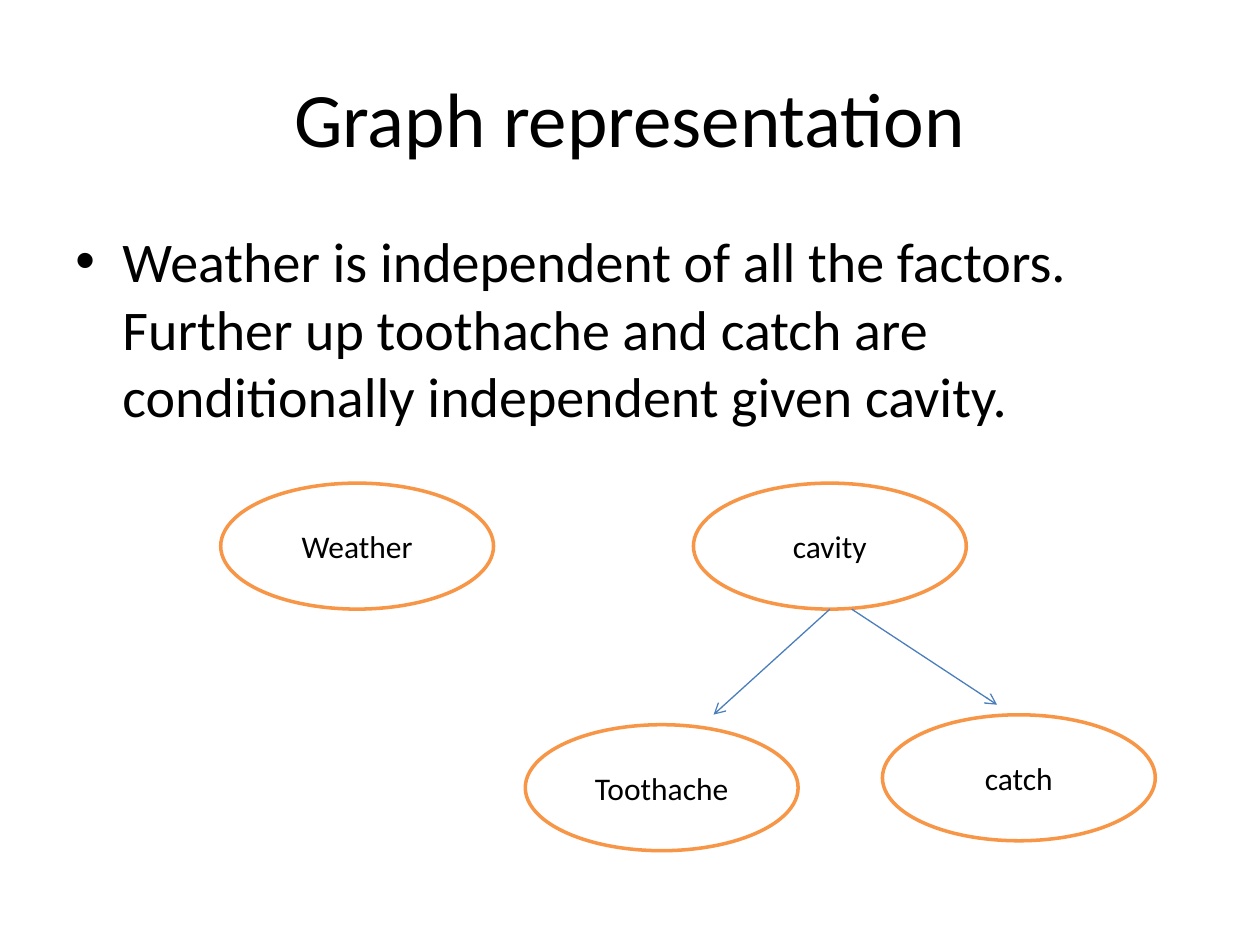
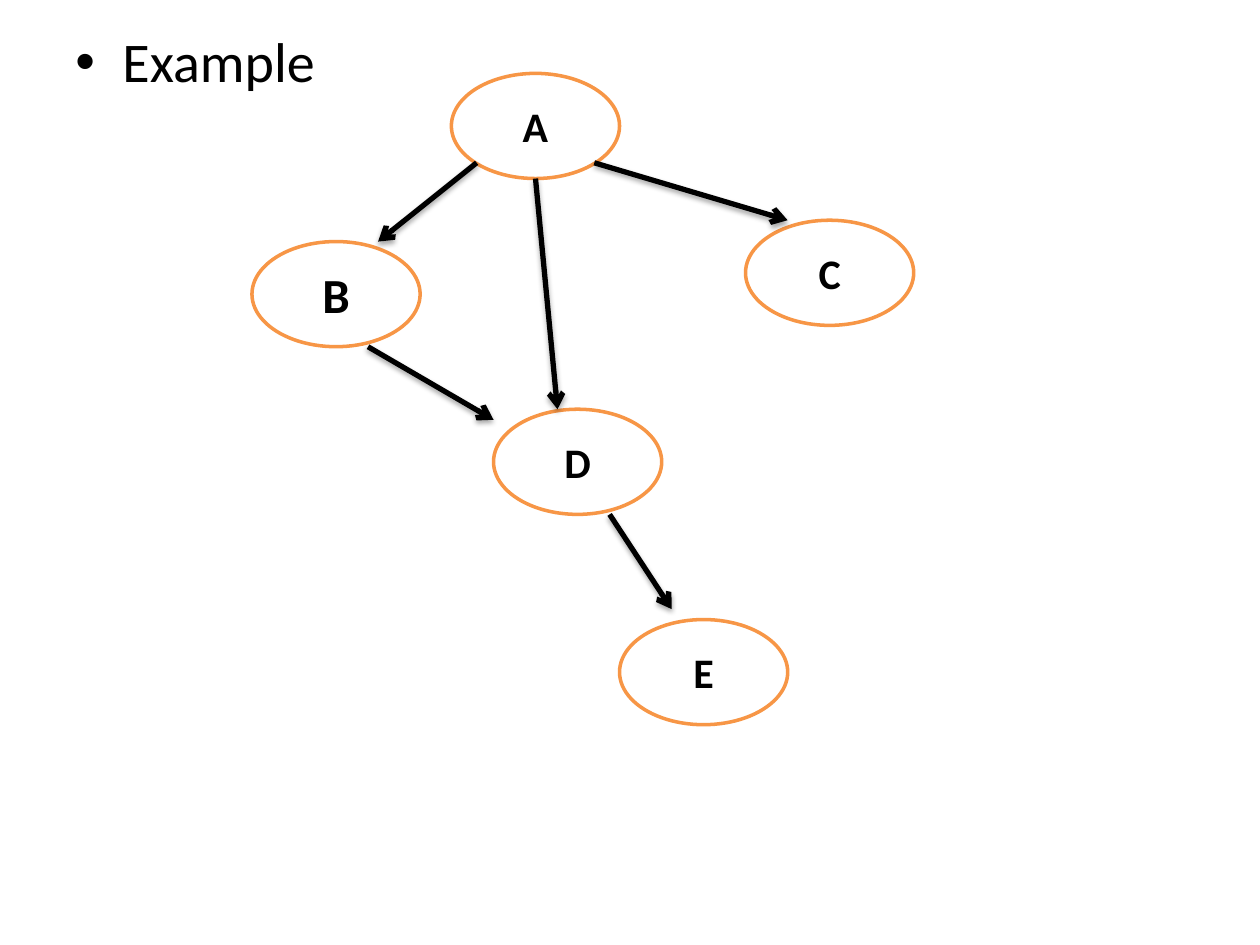
from pptx import Presentation
from pptx.dml.color import RGBColor
from pptx.enum.shapes import MSO_CONNECTOR, MSO_SHAPE
from pptx.enum.text import MSO_ANCHOR, PP_ALIGN
from pptx.oxml import parse_xml
from pptx.oxml.ns import nsdecls, qn
from pptx.util import Cm, Pt

ELLIPSE = MSO_SHAPE.OVAL
STRAIGHT = MSO_CONNECTOR.STRAIGHT
MIDDLE, TOP = MSO_ANCHOR.MIDDLE, MSO_ANCHOR.TOP
CENTER, LEFT = PP_ALIGN.CENTER, PP_ALIGN.LEFT

COLORS = {"text": "000000", "node": "FFFFFF", "outline": "F79646",
          "thin_arrow": "4B7EBC", "thick_arrow": "000000"}
FONT = "Calibri"
BLANK_LAYOUT = 6
MARGIN, CONTENT_WIDTH = 1.27, 22.86

CAVITY_NODES = {
    "Weather": (0, 0),
    "cavity": (9.53, 0),
    "catch": (13.34, 4.67),
    "Toothache": (6.14, 4.87),
}
CAVITY_ARROWS = [
    ("cavity", (0.5, 1), "Toothache", (0.69, -0.08)),
    ("cavity", (0.58, 1), "catch", (0.42, -0.08)),
]
EXAMPLE_NODES = {
    "A": (4.02, 0),
    "E": (7.41, 11.01),
    "C": (9.95, 2.96),
    "D": (4.87, 6.77),
    "B": (0, 3.39),
}
EXAMPLE_ARROWS = [
    ("A", (0.15, 0.85), "B", (0.75, 0)),
    ("A", (0.5, 1), "D", (0.38, 0)),
    ("A", (0.85, 0.85), "C", (0.25, 0)),
    ("B", (0.69, 1), "D", (0, 0.1)),
    ("D", (0.69, 1), "E", (0.31, -0.1)),
]


def color(name):
    """Return the named colour."""
    return RGBColor.from_string(COLORS[name])


def write_text(shape, text, size, bold=False, align=CENTER, anchor=MIDDLE, bullet=False):
    """Write one formatted paragraph into a shape."""
    frame = shape.text_frame
    frame.word_wrap = True
    frame.vertical_anchor = anchor
    paragraph = frame.paragraphs[0]
    paragraph.text = text
    paragraph.alignment = align
    if bullet:
        properties = paragraph._p.get_or_add_pPr()
        properties.set("marL", str(Cm(0.95)))
        properties.set("indent", str(-Cm(0.95)))
        properties.append(parse_xml(f'<a:buFont {nsdecls("a")} typeface="Arial"/>'))
        properties.append(parse_xml(f'<a:buChar {nsdecls("a")} char="•"/>'))
    font = paragraph.runs[0].font
    font.name, font.size, font.bold = FONT, Pt(size), bold
    font.color.rgb = color("text")


def add_text(slide, box, text, **text_format):
    """Add a text box that fills the given box."""
    shape = slide.shapes.add_textbox(*map(Cm, box))
    write_text(shape, text, **text_format)


def add_title(slide, text):
    """Add the centred slide title."""
    add_text(slide, (MARGIN, 0.76, CONTENT_WIDTH, 3.18), text, size=44)


def add_body(slide, text, top, height):
    """Add the bulleted body text."""
    add_text(slide, (MARGIN, top, CONTENT_WIDTH, height), text,
             size=32, align=LEFT, anchor=TOP, bullet=True)


def add_node(slide, box, text, **text_format):
    """Add an outlined ellipse with its label."""
    node = slide.shapes.add_shape(ELLIPSE, *map(Cm, box))
    node.shadow.inherit = False
    node.fill.solid()
    node.fill.fore_color.rgb = color("node")
    node.line.color.rgb = color("outline")
    node.line.width = Pt(2)
    write_text(node, text, **text_format)


def add_arrow(slide, start, end, color_name, width, shadow):
    """Add a straight arrow, with a soft shadow below it if asked."""
    arrow = slide.shapes.add_connector(STRAIGHT, *map(Cm, (*start, *end)))
    arrow.line.color.rgb = color(color_name)
    arrow.line.width = Pt(width)
    properties = arrow.element.spPr
    properties.find(qn("a:ln")).append(
        parse_xml(f'<a:tailEnd {nsdecls("a")} type="arrow"/>'))
    effect = (f'<a:outerShdw blurRad="{Pt(3.1)}" dist="{Pt(1.8)}" dir="5400000" rotWithShape="0">'
              f'<a:srgbClr val="{COLORS["text"]}"><a:alpha val="35000"/></a:srgbClr>'
              '</a:outerShdw>') if shadow else ""
    properties.append(parse_xml(f'<a:effectLst {nsdecls("a")}>{effect}</a:effectLst>'))


def add_graph(slide, origin, node_size, nodes, arrows, label_sizes, arrow_style):
    """Draw nodes and arrows relative to an origin, arrow ends as fractions of a node."""
    left, top = origin
    width, height = node_size

    def point(name, fraction):
        """Return the place of a fraction of the named node."""
        x, y = nodes[name]
        return left + x + fraction[0] * width, top + y + fraction[1] * height

    for name in nodes:
        add_node(slide, (*point(name, (0, 0)), width, height), name, **label_sizes(name))
    for source, source_fraction, target, target_fraction in arrows:
        add_arrow(slide, point(source, source_fraction),
                  point(target, target_fraction), **arrow_style)


def build_representation(slide):
    """Build the slide on graph representation."""
    add_title(slide, "Graph representation")
    add_body(slide, "Weather is independent of all the factors. Further up toothache "
                    "and catch are conditionally independent given cavity.", 4.45, 12.57)
    add_graph(slide, (4.45, 9.74), (5.5, 2.54), CAVITY_NODES, CAVITY_ARROWS,
              lambda name: {"size": 18},
              {"color_name": "thin_arrow", "width": 0.75, "shadow": False})


def build_example(slide):
    """Build the slide with the example graph."""
    add_body(slide, "Example", 0.42, 16.59)
    add_graph(slide, (5.08, 1.48), (3.39, 2.12), EXAMPLE_NODES, EXAMPLE_ARROWS,
              lambda name: {"size": 28 if name == "B" else 24, "bold": True},
              {"color_name": "thick_arrow", "width": 3, "shadow": True})


def main():
    """Build and save the presentation."""
    presentation = Presentation()
    presentation.slide_width, presentation.slide_height = Cm(25.4), Cm(19.05)
    for build in (build_representation, build_example):
        build(presentation.slides.add_slide(presentation.slide_layouts[BLANK_LAYOUT]))
    presentation.save("out.pptx")


if __name__ == "__main__":
    main()
